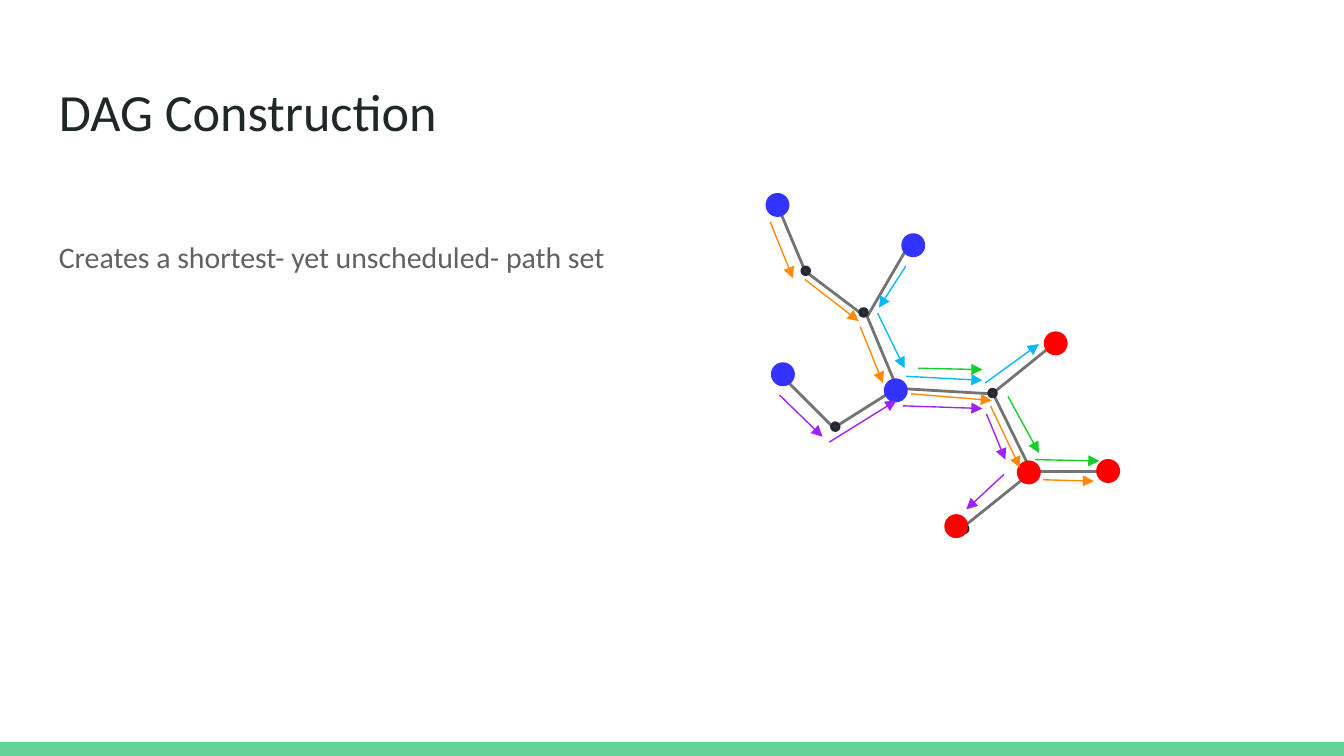
import lxml.etree
import pptx
import pptx.dml.color
import pptx.enum.shapes
import pptx.enum.text
import pptx.oxml.ns
import pptx.util

COLUMNS, ROWS = 100, 56.25

# Tree edges: start column, start row, end column, end row.
EDGES = [
    (57.9, 15.4, 60, 20.4), (60.2, 20.4, 64.3, 23.5), (66.7, 28.9, 62.1, 31.8),
    (58.4, 28.2, 62, 31.8), (64.5, 23.5, 66.8, 29), (67.7, 18.1, 64.5, 23.6),
    (66.8, 28.9, 73.7, 29.3), (73.9, 29.3, 76.8, 35.2), (76.8, 35.1, 71.7, 39.2),
    (78.4, 25.6, 73.7, 29.4), (76.8, 35.1, 82.3, 35.1),
]

# Left column and top row of each dot.
JOINTS = [
    (73.6, 29), (57.7, 15.3), (66.5, 28.6), (64, 23), (59.7, 19.9), (61.9, 31.5),
    (58.1, 27.8), (78.4, 25.3), (71.5, 39.1), (76.3, 34.8), (67.7, 18), (82.1, 34.8),
]
SOURCES = [(57.1, 14.5), (57.5, 27.1), (65.9, 28.3), (67.2, 17.5)]
TARGETS = [(75.8, 34.4), (81.7, 34.3), (70.4, 38.4), (77.8, 24.8)]

# Each path's colour and its arrows, in travel order.
PATHS = {
    "FF8A09": [
        (57.3, 16.5, 59, 20.7), (59.9, 20.8, 63.9, 23.9), (64, 24.3, 65.7, 28.5),
        (67.8, 29.3, 73.8, 29.8), (73.7, 30.2, 75.9, 34.8), (77.6, 35.7, 81.4, 35.8),
    ],
    "06BAFA": [
        (67.4, 19.8, 65.4, 22.9), (65.3, 23.3, 67.3, 27.4),
        (67.4, 28, 73.1, 28.3), (73.3, 28.5, 77.3, 25.6),
    ],
    "A021FF": [
        (58, 29.4, 61.2, 32.5), (61.7, 32.9, 66.7, 29.8), (67.2, 30.2, 73.1, 30.4),
        (73.4, 30.8, 74.8, 34.2), (74.7, 35.3, 71.9, 37.9),
    ],
    "15CD2B": [
        (68.3, 27.4, 73.1, 27.5), (75, 29.5, 77.3, 33.7), (77, 34.2, 81.8, 34.3),
    ],
}


def color(hex_string):
    return pptx.dml.color.RGBColor.from_string(hex_string)


class SlideBuilder:
    """Draws on one slide, with lengths in grid columns and rows."""

    font_name = "Calibri"
    text_inset = 1

    def __init__(self, presentation):
        self.slide = presentation.slides.add_slide(presentation.slide_layouts[6])
        self.column = presentation.slide_width / COLUMNS
        self.row = presentation.slide_height / ROWS

    def place(self, *lengths):
        """Turn alternating columns and rows into slide units."""
        units = (self.column, self.row) * 2
        return [round(length * unit) for length, unit in zip(lengths, units)]

    def shape(self, kind, box, fill, outline=None):
        shape = self.slide.shapes.add_shape(kind, *self.place(*box))
        shape.shadow.inherit = False
        shape.fill.solid()
        shape.fill.fore_color.rgb = color(fill)
        if outline:
            shape.line.color.rgb = color(outline)
            shape.line.width = pptx.util.Pt(2)
        else:
            shape.line.fill.background()

    def dots(self, corners, size, fill, outline):
        for left, top in corners:
            self.shape(pptx.enum.shapes.MSO_SHAPE.OVAL, (left, top, size, size), fill, outline)

    def line(self, ends, hex_string, width, arrow=False):
        connector = self.slide.shapes.add_connector(
            pptx.enum.shapes.MSO_CONNECTOR.STRAIGHT, *self.place(*ends))
        connector.line.color.rgb = color(hex_string)
        connector.line.width = pptx.util.Pt(width)
        if arrow:
            lxml.etree.SubElement(
                connector.line._get_or_add_ln(), pptx.oxml.ns.qn("a:tailEnd"), type="triangle")
        lxml.etree.SubElement(connector._element.spPr, pptx.oxml.ns.qn("a:effectLst"))

    def text(self, box, wording, size, hex_string, top_inset=text_inset):
        frame = self.slide.shapes.add_textbox(*self.place(*box)).text_frame
        frame.word_wrap = True
        frame.vertical_anchor = pptx.enum.text.MSO_ANCHOR.TOP
        frame.margin_left, frame.margin_top, frame.margin_right, frame.margin_bottom = self.place(
            self.text_inset, top_inset, self.text_inset, self.text_inset)
        run = frame.paragraphs[0].add_run()
        run.text = wording
        run.font.name = self.font_name
        run.font.size = pptx.util.Pt(size)
        run.font.color.rgb = color(hex_string)


def main():
    presentation = pptx.Presentation()
    presentation.slide_width = pptx.util.Inches(10)
    presentation.slide_height = presentation.slide_width * 9 // 16
    builder = SlideBuilder(presentation)

    builder.shape(pptx.enum.shapes.MSO_SHAPE.RECTANGLE, (0, 55.2, COLUMNS, 1.05), "63D297")
    builder.text((3.4, 4.9, 93.2, 6.3), "DAG Construction", 28, "202729")
    builder.text((3.4, 12.6, 72.7, 35.6), "Creates a shortest- yet unscheduled- path set",
                 16, "616161", top_inset=8.6)

    for edge in EDGES:
        builder.line(edge, "737373", 1.5)
    builder.dots(JOINTS, 0.5, "353744", "272932")
    builder.dots(SOURCES, 1.5, "3333FF", "3333FF")
    builder.dots(TARGETS, 1.5, "FD0000", "FD0000")
    for path_color, arrows in PATHS.items():
        for arrow in arrows:
            builder.line(arrow, path_color, 0.75, arrow=True)

    presentation.save("out.pptx")


if __name__ == "__main__":
    main()
